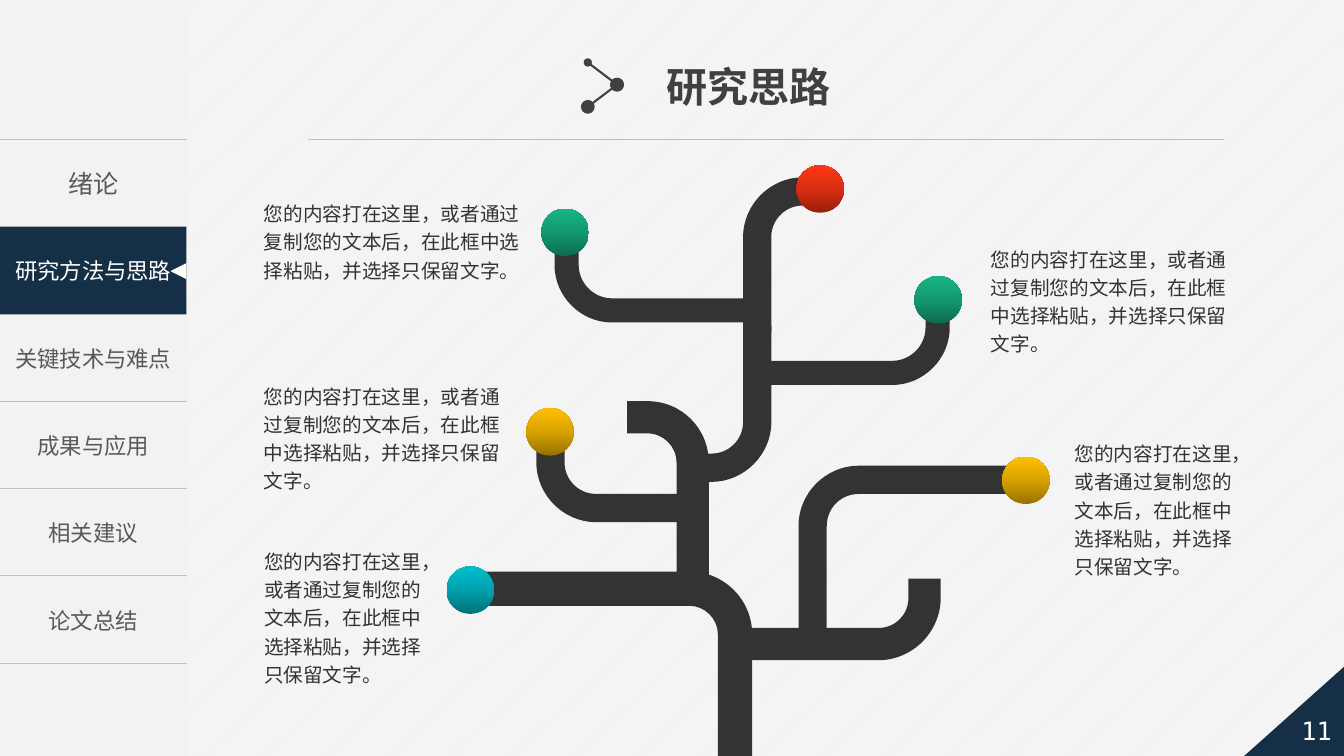
from copy import deepcopy
from dataclasses import dataclass

from lxml.etree import SubElement
from pptx import Presentation
from pptx.dml.color import RGBColor
from pptx.enum.dml import MSO_PATTERN
from pptx.enum.shapes import MSO_CONNECTOR, MSO_SHAPE
from pptx.enum.text import MSO_ANCHOR, MSO_AUTO_SIZE, PP_ALIGN
from pptx.oxml.ns import qn
from pptx.util import Pt

PX = 9144
ARC_HANDLE = 0.55


@dataclass(frozen=True)
class Theme:
    paper: str = "F2F2F2"
    white: str = "FFFFFF"
    rule: str = "BFBFBF"
    navy: str = "152F47"
    menu: str = "595959"
    title: str = "404040"
    tree: str = "333333"
    teal: tuple = ("007179", "00A0AD", "00BECD")
    amber: tuple = ("977200", "D7A200", "FFC000")
    green: tuple = ("0D6B50", "139971", "17B586")
    red: tuple = ("98200C", "D82D11", "FF3716")
    text_font: str = "Noto Sans CJK SC"
    title_font: str = "Arial"
    number_font: str = "DejaVu Sans Mono"
    title_size: float = 29.3
    large_size: int = 18
    menu_size: int = 16
    body_size: int = 14


THEME = Theme()
SECTIONS = ["绪论", "研究方法与思路", "关键技术与难点", "成果与应用", "相关建议", "论文总结"]
NOTE = "您的内容打在这里，或者通过复制您的文本后，在此框中选择粘贴，并选择只保留文字。"

BRANCHES = [
    ((729, 779), (729, 584), (465, 584), 34, 62),
    ((729, 639), (917, 639), (917, 574), 32, 62),
    ((755, 370), (930, 370), (930, 305), 24, 57),
    ((687, 585), (687, 414), (622, 414), 32, 61),
    ((806, 644), (806, 476), (1019, 476), 28, 60),
    ((746, 308), (562, 308), (562, 243), 24, 57),
    ((686, 504), (546, 504), (546, 440), 28, 59),
    ((686, 464), (751, 464), (751, 323), 28, 59),
    ((751, 330), (751, 190), (815, 190), 28, 59),
]
FRUITS = [
    (443, 562, THEME.teal),
    (522, 405, THEME.amber),
    (994, 453, THEME.amber),
    (907, 274, THEME.green),
    (537, 207, THEME.green),
    (790, 164, THEME.red),
]
NOTES = [
    (252, 536, 182, 151),
    (252, 372, 263, 123),
    (1056, 429, 178, 151),
    (973, 236, 261, 123),
    (252, 191, 276, 95),
]


def px(*lengths):
    return [length * PX for length in lengths]


def rgb(value):
    return RGBColor.from_string(value)


def set_text(text_frame, text, font_name, size, color, align=PP_ALIGN.CENTER, bold=False):
    text_frame.text = text
    paragraph = text_frame.paragraphs[0]
    paragraph.alignment = align
    run = paragraph.runs[0]
    run.font.name = font_name
    run.font.size = Pt(size)
    run.font.bold = bold
    run.font.color.rgb = rgb(color)
    SubElement(run.font._element, qn("a:ea")).set("typeface", font_name)


def add_preset(slide, kind, box, color=None, flipped=False):
    shape = slide.shapes.add_shape(kind, *px(*box))
    shape.shadow.inherit = False
    shape.line.fill.background()
    if color:
        shape.fill.solid()
        shape.fill.fore_color.rgb = rgb(color)
    else:
        shape.fill.background()
    if flipped:
        shape._element.spPr.find(qn("a:xfrm")).set("flipH", "1")
    return shape


def add_line(slide, start, end, color, width, ends=()):
    connector = slide.shapes.add_connector(MSO_CONNECTOR.STRAIGHT, *px(*start, *end))
    connector.line.color.rgb = rgb(color)
    connector.line.width = Pt(width)
    line = connector.line._get_or_add_ln()
    for tag, size in zip(("a:headEnd", "a:tailEnd"), ends):
        dot = SubElement(line, qn(tag))
        dot.set("type", "oval")
        dot.set("w", size)
        dot.set("len", size)
    SubElement(connector._element.spPr, qn("a:effectLst"))


def set_cell_borders(cell):
    properties = cell._tc.get_or_add_tcPr()
    for side in "LRTB":
        border = SubElement(properties, qn(f"a:ln{side}"))
        border.set("w", str(Pt(1)))
        if side in "LR":
            SubElement(border, qn("a:noFill"))
        else:
            fill = SubElement(border, qn("a:solidFill"))
            SubElement(fill, qn("a:srgbClr")).set("val", THEME.rule)


def add_menu(slide):
    frame = slide.shapes.add_table(len(SECTIONS), 1, *px(0, 138, 185, 520))
    table = frame.table
    table.first_row = False
    table.horz_banding = False
    for index, section in enumerate(SECTIONS):
        table.rows[index].height = 520 * PX // len(SECTIONS)
        cell = table.cell(index, 0)
        cell.vertical_anchor = MSO_ANCHOR.MIDDLE
        size = THEME.menu_size if index else THEME.large_size
        set_text(cell.text_frame, section, THEME.text_font, size, THEME.menu)
        set_cell_borders(cell)
        cell.fill.background()


def add_active_section(slide):
    marker = add_preset(slide, MSO_SHAPE.RECTANGLE, (0, 225, 185, 87), THEME.navy)
    marker.text_frame.vertical_anchor = MSO_ANCHOR.MIDDLE
    set_text(marker.text_frame, SECTIONS[1], THEME.text_font, THEME.menu_size, THEME.white)
    pointer = add_preset(slide, MSO_SHAPE.ISOSCELES_TRIANGLE, (169, 261, 16, 16), THEME.white)
    pointer.rotation = 270


def add_page_number(slide):
    add_preset(slide, MSO_SHAPE.RIGHT_TRIANGLE, (1233, 658, 104, 93), THEME.navy, True)
    plate = add_preset(slide, MSO_SHAPE.PENTAGON, (1245, 697, 108, 55), flipped=True)
    plate.text_frame.vertical_anchor = MSO_ANCHOR.MIDDLE
    set_text(plate.text_frame, "11", THEME.number_font, THEME.large_size, THEME.white)


def add_title(slide):
    box = slide.shapes.add_textbox(*px(651, 56, 185, 59))
    box.text_frame.word_wrap = False
    box.text_frame.auto_size = MSO_AUTO_SIZE.SHAPE_TO_FIT_TEXT
    set_text(box.text_frame, "研究思路", THEME.title_font, THEME.title_size,
             THEME.title, PP_ALIGN.LEFT, True)
    add_line(slide, (583, 62), (612, 84), THEME.title, 1.5, ("med", "lg"))
    add_line(slide, (612, 84), (583, 106), THEME.title, 1.5, ("lg", "lg"))


def direction(origin, target):
    steps = [b - a for a, b in zip(origin, target)]
    return [(step > 0) - (step < 0) for step in steps]


def shift(point, vector, distance):
    return tuple(p + v * distance for p, v in zip(point, vector))


def bend_lines(shape, first_lines):
    outline = next(shape._element.spPr.iter(qn("a:path")))
    lines = outline.findall(qn("a:lnTo"))
    for first in first_lines:
        curve = outline.makeelement(qn("a:cubicBezTo"))
        lines[first].addprevious(curve)
        for line in lines[first:first + 3]:
            curve.append(line[0])
            outline.remove(line)


def add_branch(slide, start, corner, end, width, radius):
    back, ahead = direction(corner, start), direction(corner, end)
    half = width / 2
    center = shift(shift(corner, back, radius - half), ahead, radius - half)

    def side(offset, size):
        arc_start, arc_end = shift(center, ahead, -size), shift(center, back, -size)
        handle = -ARC_HANDLE * size
        return [shift(start, ahead, offset), arc_start, shift(arc_start, back, handle),
                shift(arc_end, ahead, handle), arc_end, shift(end, back, offset)]

    outline = side(-half, radius) + side(half, radius - width)[::-1]
    builder = slide.shapes.build_freeform(*outline[0], scale=PX)
    builder.add_line_segments(outline[1:])
    shape = builder.convert_to_shape()
    bend_lines(shape, (1, 7))
    shape.shadow.inherit = False
    shape.fill.solid()
    shape.fill.fore_color.rgb = rgb(THEME.tree)
    shape.line.fill.background()


def add_fruit(slide, left, top, shades):
    fruit = add_preset(slide, MSO_SHAPE.OVAL, (left, top, 47, 47))
    fruit.fill.gradient()
    fruit.fill.gradient_angle = 90
    stop_list = fruit._element.spPr.find(qn("a:gradFill")).find(qn("a:gsLst"))
    stop_list.append(deepcopy(stop_list[0]))
    for stop, position, shade in zip(fruit.fill.gradient_stops, (0, 0.5, 1), shades):
        stop.position = position
        stop.color.rgb = rgb(shade)


def add_note(slide, box):
    note = slide.shapes.add_textbox(*px(*box))
    note.text_frame.word_wrap = True
    note.text_frame.auto_size = MSO_AUTO_SIZE.SHAPE_TO_FIT_TEXT
    set_text(note.text_frame, NOTE, THEME.text_font, THEME.body_size, THEME.tree, PP_ALIGN.LEFT)
    note.text_frame.paragraphs[0].line_spacing = 1.2


def main():
    presentation = Presentation()
    presentation.slide_width, presentation.slide_height = px(1333, 750)
    slide = presentation.slides.add_slide(presentation.slide_layouts[6])
    backdrop = slide.background.fill
    backdrop.patterned()
    backdrop.pattern = MSO_PATTERN.LIGHT_UPWARD_DIAGONAL
    backdrop.fore_color.rgb = rgb(THEME.white)
    backdrop.back_color.rgb = rgb(THEME.paper)

    add_preset(slide, MSO_SHAPE.RECTANGLE, (0, 0, 185, 750), THEME.paper)
    add_menu(slide)
    add_line(slide, (305, 138), (1214, 138), THEME.rule, 0.5)
    add_active_section(slide)
    add_page_number(slide)
    add_title(slide)
    for branch in BRANCHES:
        add_branch(slide, *branch)
    for fruit in FRUITS:
        add_fruit(slide, *fruit)
    for box in NOTES:
        add_note(slide, box)
    presentation.save("out.pptx")


if __name__ == "__main__":
    main()
